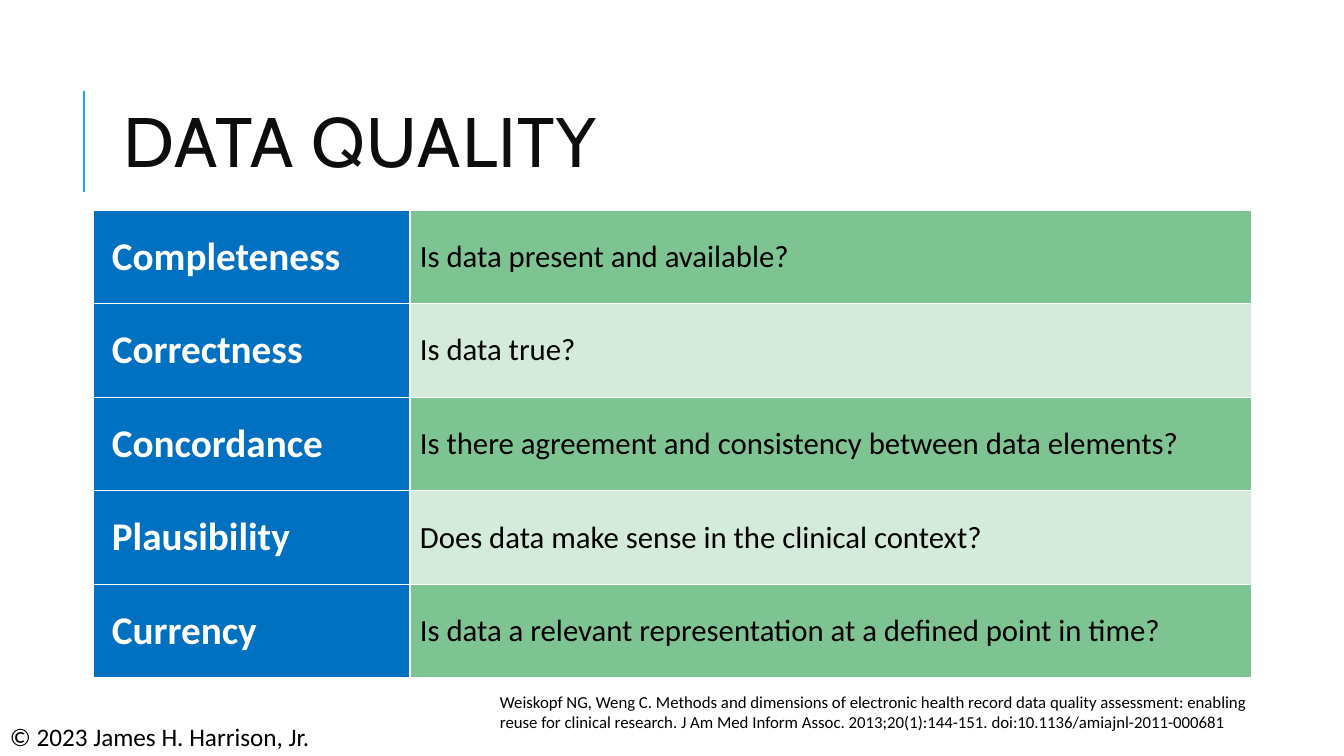
"""Build the Data Quality slide: a title, a five-row table, a citation and a copyright line."""
from lxml import etree
from pptx import Presentation
from pptx import util as u
from pptx.dml.color import RGBColor
from pptx.enum import shapes, text
from pptx.oxml import ns

TITLE = "DATA QUALITY"
DIMENSIONS = [
    ("Completeness", "Is data present and available?"),
    ("Correctness", "Is data true?"),
    ("Concordance", "Is there agreement and consistency between data elements?"),
    ("Plausibility", "Does data make sense in the clinical context?"),
    ("Currency", "Is data a relevant representation at a defined point in time?"),
]
CITATION = (
    "Weiskopf NG, Weng C. Methods and dimensions of electronic health record data quality "
    "assessment: enabling reuse for clinical research. J Am Med Inform Assoc. "
    "2013;20(1):144-151. doi:10.1136/amiajnl-2011-000681"
)
COPYRIGHT = "© 2023 James H. Harrison, Jr."

COLORS = {
    "rule": "1CADE4", "title": "0D0D0D", "name": "0070C0", "odd": "7EC492",
    "even": "D4EBDB", "white": "FFFFFF", "black": "000000",
}
FORMATS = {
    "title": {"name": "Cabin", "size": u.Pt(50), "bold": False},
    "name": {"name": "Calibri", "size": u.Pt(28), "bold": True},
    "question": {"name": "Calibri", "size": u.Pt(22), "bold": False},
    "citation": {"name": "Calibri", "size": u.Pt(12)},
    "copyright": {"name": "Calibri", "size": u.Pt(18)},
}
SLIDE_SIZE = (1344, 756)
TITLE_BOX = (113, 65, 1071, 165)
RULE = (84, 192, 84, 91)
TABLE_BOX = (93, 210, 1159, 468)
COLUMNS = (317, 842)
NAME_INDENT, QUESTION_INDENT = 19, 10
CITATION_BOX = (490, 687, 792, 50)
COPYRIGHT_BOX = (0, 716, 324, 40)


def px(length):
    return round(length * 914400 / 100.8)


def box(lengths):
    return [px(length) for length in lengths]


def write(frame, words, style, color):
    frame.text = words
    font = frame.paragraphs[0].runs[0].font
    for key, value in FORMATS[style].items():
        setattr(font, key, value)
    font.color.rgb = RGBColor.from_string(COLORS[color])


def add_borders(cell):
    properties = cell._tc.get_or_add_tcPr()
    for place, side in enumerate(("lnL", "lnR", "lnT", "lnB")):
        line = etree.Element(ns.qn(f"a:{side}"), w=str(u.Pt(1)))
        fill = etree.SubElement(line, ns.qn("a:solidFill"))
        etree.SubElement(fill, ns.qn("a:srgbClr"), val=COLORS["white"])
        properties.insert(place, line)


def add_title(slide):
    title = slide.shapes.title
    title.left, title.top, title.width, title.height = box(TITLE_BOX)
    frame = title.text_frame
    write(frame, TITLE, "title", "title")
    frame.auto_size = text.MSO_AUTO_SIZE.NONE
    frame.vertical_anchor = text.MSO_ANCHOR.MIDDLE
    paragraph = frame.paragraphs[0]
    paragraph.alignment = text.PP_ALIGN.LEFT
    paragraph.line_spacing = 0.8
    paragraph.runs[0].font._element.set("spc", "100")


def add_rule(slide):
    rule = slide.shapes.add_connector(shapes.MSO_CONNECTOR.STRAIGHT, *box(RULE))
    rule.line.color.rgb = RGBColor.from_string(COLORS["rule"])
    rule.line.width = u.Pt(1.5)
    etree.SubElement(rule._element.spPr, ns.qn("a:effectLst"))


def add_dimensions(slide):
    table = slide.shapes.add_table(len(DIMENSIONS), len(COLUMNS), *box(TABLE_BOX)).table
    table.first_row = table.horz_banding = False
    for column, width in zip(table.columns, COLUMNS):
        column.width = px(width)
    for index, (name, question) in enumerate(DIMENSIONS):
        table.rows[index].height = px(TABLE_BOX[3] / len(DIMENSIONS))
        band = "even" if index % 2 else "odd"
        parts = [
            (name, "name", "white", "name", NAME_INDENT),
            (question, "question", "black", band, QUESTION_INDENT),
        ]
        for cell, (words, style, color, fill, indent) in zip(table.rows[index].cells, parts):
            write(cell.text_frame, words, style, color)
            cell.vertical_anchor = text.MSO_ANCHOR.MIDDLE
            cell.margin_left = px(indent)
            cell.fill.solid()
            cell.fill.fore_color.rgb = RGBColor.from_string(COLORS[fill])
            add_borders(cell)


def add_note(slide, words, style, lengths, wrap):
    frame = slide.shapes.add_textbox(*box(lengths)).text_frame
    frame.word_wrap = wrap
    frame.auto_size = text.MSO_AUTO_SIZE.SHAPE_TO_FIT_TEXT
    write(frame, words, style, "black")


def main():
    deck = Presentation()
    deck.slide_width, deck.slide_height = box(SLIDE_SIZE)
    slide = deck.slides.add_slide(deck.slide_layouts.get_by_name("Title Only"))
    add_rule(slide)
    add_title(slide)
    add_dimensions(slide)
    add_note(slide, CITATION, "citation", CITATION_BOX, True)
    add_note(slide, COPYRIGHT, "copyright", COPYRIGHT_BOX, False)
    deck.save("out.pptx")


if __name__ == "__main__":
    main()
